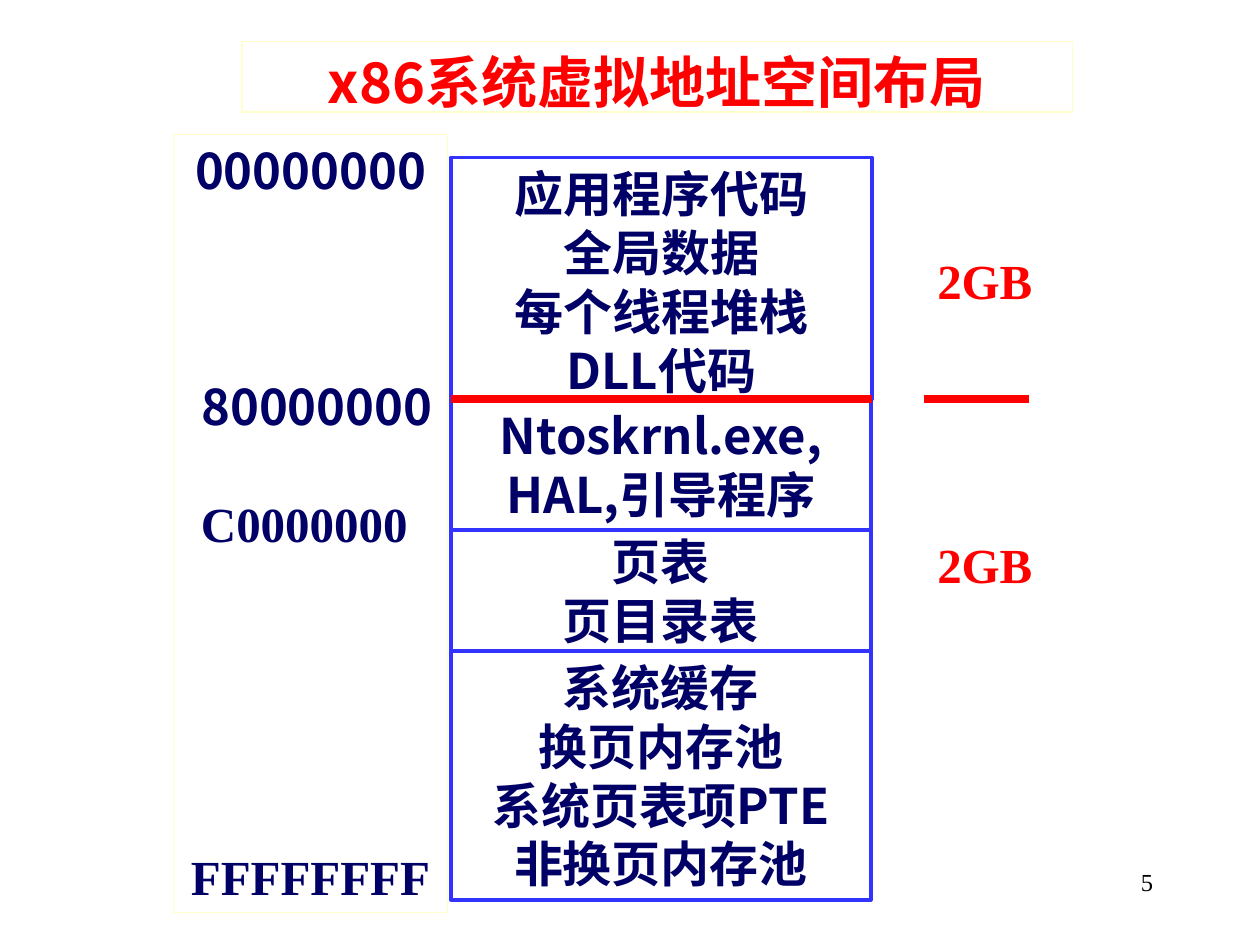
import pptx
import pptx.dml.color
import pptx.enum.shapes
import pptx.enum.text
import pptx.util
from lxml import etree
from pptx.util import Inches

SANS = "Noto Sans CJK SC"
SERIF = "Times New Roman"
NAVY, RED, BLUE, CREAM, WHITE = "000066", "FF0000", "3333FF", "FFFFCC", "FFFFFF"
ALIGN = pptx.enum.text.PP_ALIGN
LINE_FACTOR = 1.2
PITCH = 28 * LINE_FACTOR


def rgb(value):
    return pptx.dml.color.RGBColor.from_string(value)


def add_text(tf, text, size=28, font=SANS, color=NAVY, bold=True,
             align=ALIGN.CENTER, before=0, left=0, right=0):
    p = tf.paragraphs[0] if not tf.text else tf.add_paragraph()
    p.alignment = align
    p.line_spacing = pptx.util.Pt(size * LINE_FACTOR)
    p.space_before = pptx.util.Pt(before)
    p_pr = p._p.get_or_add_pPr()
    p_pr.set("marL", str(Inches(left)))
    p_pr.set("marR", str(Inches(right)))
    r = p.add_run()
    r.text = text
    r.font.size = pptx.util.Pt(size)
    r.font.bold = bold
    r.font.name = font
    r.font.color.rgb = rgb(color)
    ea = etree.SubElement(r._r.get_or_add_rPr(), pptx.oxml.ns.qn("a:ea"))
    ea.set("typeface", font)


def set_frame(tf, right_inset=0.1):
    tf.word_wrap = True
    tf.vertical_anchor = pptx.enum.text.MSO_ANCHOR.TOP
    tf.margin_left, tf.margin_right = Inches(0.1), Inches(right_inset)
    tf.margin_top = tf.margin_bottom = Inches(0.05)


def add_box(s, left, top, width, height, line, weight):
    sp = s.shapes.add_shape(pptx.enum.shapes.MSO_SHAPE.RECTANGLE, Inches(left),
                            Inches(top), Inches(width), Inches(height))
    sp.shadow.inherit = False
    sp.fill.solid()
    sp.fill.fore_color.rgb = rgb(WHITE)
    sp.line.color.rgb = rgb(line)
    sp.line.width = pptx.util.Pt(weight)
    set_frame(sp.text_frame)
    return sp.text_frame


def add_label(s, text, left, top, width, height, right_inset=0.1, **style):
    sp = s.shapes.add_textbox(Inches(left), Inches(top), Inches(width), Inches(height))
    set_frame(sp.text_frame, right_inset)
    add_text(sp.text_frame, text, font=SERIF, **style)


def add_divider(s, start, end, y):
    line = s.shapes.add_connector(pptx.enum.shapes.MSO_CONNECTOR.STRAIGHT,
                                  Inches(start), Inches(y), Inches(end), Inches(y))
    line.line.color.rgb = rgb(RED)
    line.line.width = pptx.util.Pt(4.5)
    etree.SubElement(line._element.spPr, pptx.oxml.ns.qn("a:effectLst"))


def add_addresses(s):
    tf = add_box(s, 1.38, 1.07, 2.17, 6.17, CREAM, 0.75)
    add_text(tf, "00000000")
    add_text(tf, "80000000", before=3 * PITCH, left=0.1)
    add_text(tf, "C0000000", font=SERIF, before=PITCH, right=0.1)
    add_text(tf, "FFFFFFFF", font=SERIF, before=5 * PITCH)


def add_regions(s):
    regions = [
        (1.25, 3.34, 1.92, ["应用程序代码", "全局数据", "每个线程堆栈", "DLL代码"]),
        (4.17, 3.33, 1.04, ["页表", "页目录表"]),
        (3.17, 3.33, 1.04, ["Ntoskrnl.exe,", "HAL,引导程序"]),
        (5.17, 3.33, 1.97, ["系统缓存", "换页内存池", "系统页表项PTE", "非换页内存池"]),
    ]
    for top, width, height, lines in regions:
        tf = add_box(s, 3.58, top, width, height, BLUE, 2.25)
        for text in lines:
            add_text(tf, text)


def main():
    prs = pptx.Presentation()
    prs.slide_width, prs.slide_height = Inches(10), Inches(7.5)
    s = prs.slides.add_slide(prs.slide_layouts[6])
    add_label(s, "5", 7.17, 6.83, 2.08, 0.5, size=14, color="000000",
              bold=False, align=ALIGN.RIGHT)
    title = add_box(s, 1.92, 0.33, 6.59, 0.56, CREAM, 0.75)
    add_text(title, "x86系统虚拟地址空间布局", size=32, color=RED)
    add_addresses(s)
    add_regions(s)
    add_divider(s, 3.58, 6.92, 3.17)
    for top in (1.94, 4.19):
        add_label(s, "2GB", 7.34, top, 0.95, 0.57, right_inset=0,
                  color=RED, align=ALIGN.LEFT)
    add_divider(s, 7.33, 8.17, 3.17)
    prs.save("out.pptx")


if __name__ == "__main__":
    main()
